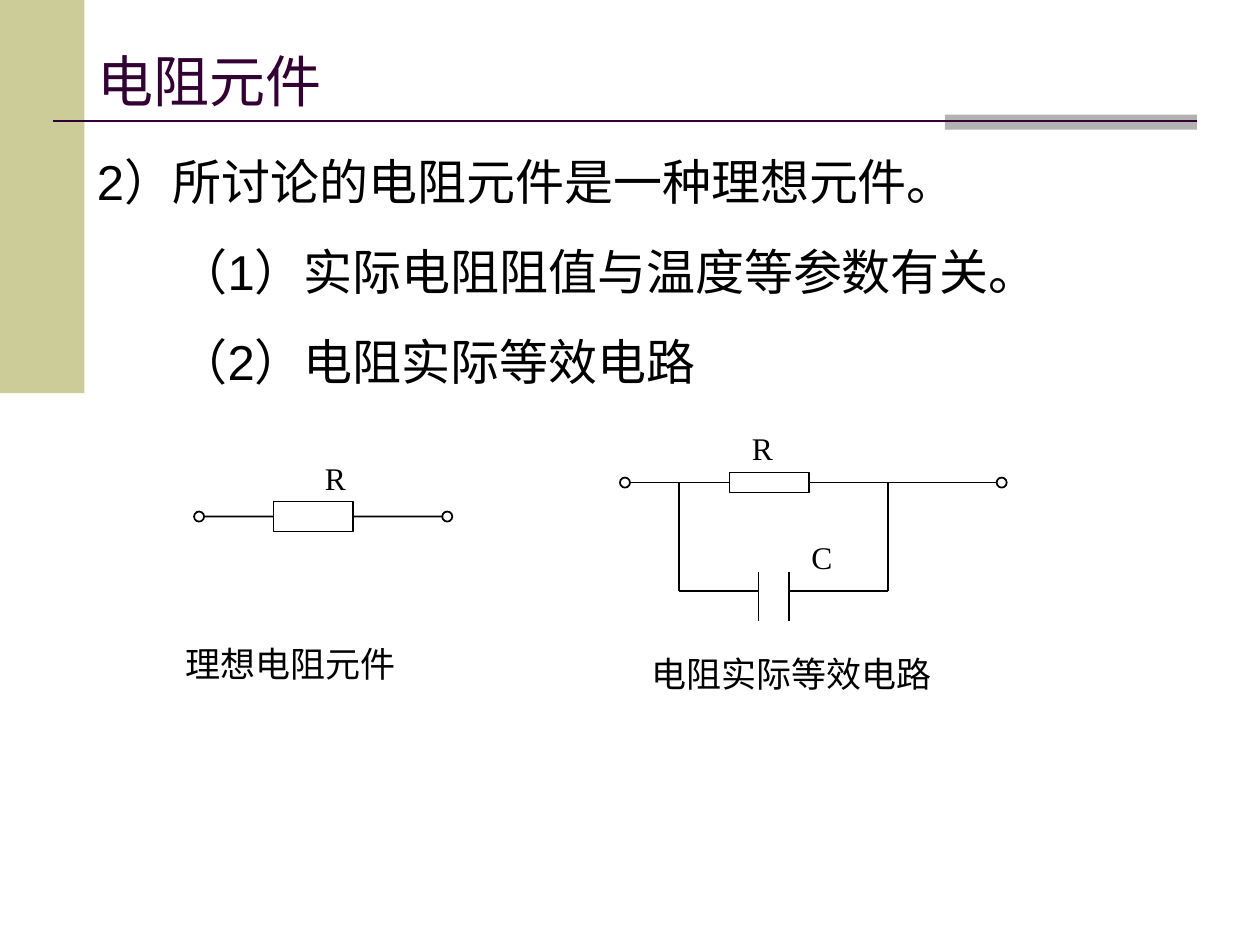
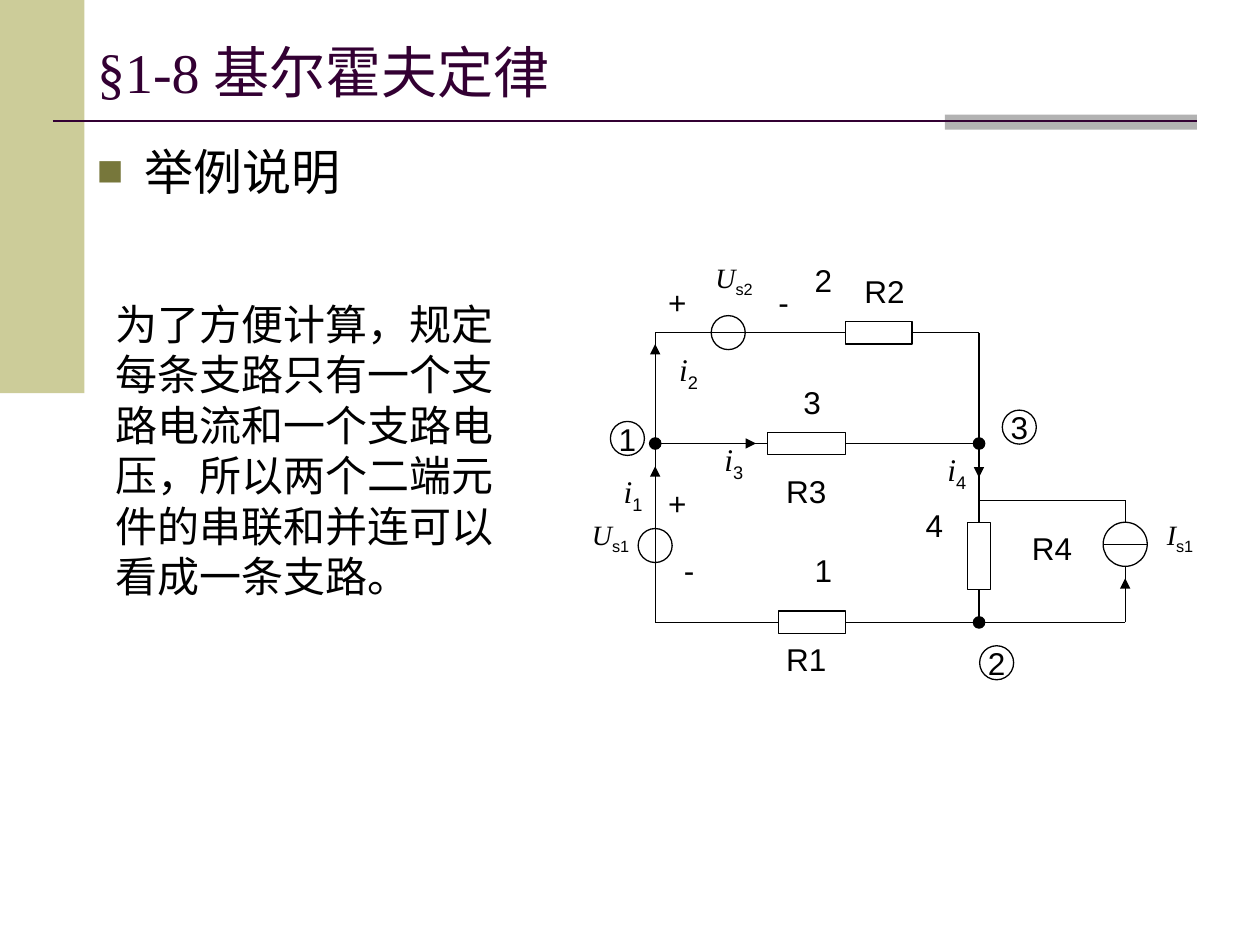
from dataclasses import dataclass
from itertools import pairwise

from lxml import etree
from pptx import Presentation, dml, util as u
from pptx.dml import color
from pptx.enum import shapes, text
from pptx.oxml import ns


@dataclass(frozen=True)
class Theme:
    ink: str = "000000"
    title: str = "330033"
    band: str = "CCCC99"
    accent: str = "B2B2B2"
    bullet: str = "77773B"
    sans: str = "Arial"
    serif: str = "Times New Roman"
    caption: str = "Karla"
    title_size: int = 32
    body_size: int = 28
    note_size: int = 24
    caption_size: int = 20
    label_size: int = 18
    source_size: int = 16


THEME = Theme()
OVAL = shapes.MSO_SHAPE.OVAL
RECT = shapes.MSO_SHAPE.RECTANGLE
Point = tuple[float, float]


@dataclass(frozen=True)
class Box:
    left: float
    top: float
    width: float
    height: float

    def lengths(self) -> list[u.Length]:
        return [u.Inches(v) for v in (self.left, self.top, self.width, self.height)]


@dataclass(frozen=True)
class Circle:
    x: float
    y: float
    diameter: float
    fill: str | None = None
    number: str = ""

    def box(self) -> Box:
        radius = self.diameter / 2
        return Box(self.x - radius, self.y - radius, self.diameter, self.diameter)


@dataclass(frozen=True)
class Label:
    box: Box
    words: str
    subscript: str = ""
    font: str = THEME.sans
    size: int = THEME.label_size
    align: text.PP_ALIGN = text.PP_ALIGN.CENTER


@dataclass(frozen=True)
class Item:
    words: str
    margin: float = 0.38
    indent: float = -0.38
    bullet: bool = False


@dataclass(frozen=True)
class Circuit:
    weight: float
    resistors: list[Box]
    circles: list[Circle]
    routes: list[list[Point]]
    arrows: list[list[Point]]
    labels: list[Label]


# Text helpers
def add_run(paragraph, words: str, font: str, size: int, rgb: str = THEME.ink):
    run = paragraph.add_run()
    run.text = words
    run.font.name = font
    run.font.size = u.Pt(size)
    run.font.color.rgb = color.RGBColor.from_string(rgb)
    return run


def add_label(slide, label: Label) -> None:
    frame = slide.shapes.add_textbox(*label.box.lengths()).text_frame
    frame.word_wrap = True
    paragraph = frame.paragraphs[0]
    paragraph.alignment = label.align
    symbol = add_run(paragraph, label.words, label.font, label.size)
    if label.subscript:
        symbol.font.italic = True
        index = add_run(paragraph, label.subscript, THEME.sans, label.size)
        index.font.italic = False
        index._r.get_or_add_rPr().set("baseline", "-25000")


def add_bullet(properties) -> None:
    tint = etree.SubElement(properties, ns.qn("a:buClr"))
    etree.SubElement(tint, ns.qn("a:srgbClr"), val=THEME.bullet)
    etree.SubElement(properties, ns.qn("a:buSzPct"), val="90000")
    etree.SubElement(properties, ns.qn("a:buFont"), typeface=THEME.sans)
    etree.SubElement(properties, ns.qn("a:buChar"), char="■")


def add_body(slide, box: Box, items: list[Item]) -> None:
    frame = slide.shapes.add_textbox(*box.lengths()).text_frame
    frame.word_wrap = True
    for position, item in enumerate(items):
        paragraph = frame.add_paragraph() if position else frame.paragraphs[0]
        properties = paragraph._p.get_or_add_pPr()
        properties.set("marL", str(u.Inches(item.margin)))
        properties.set("indent", str(u.Inches(item.indent)))
        if item.bullet:
            add_bullet(properties)
        if position:
            paragraph.space_before = u.Pt(18)
        add_run(paragraph, item.words, THEME.sans, THEME.body_size)


# Drawing helpers
def add_outline(slide, kind, box: Box, weight: float = 0, fill: str | None = None):
    shape = slide.shapes.add_shape(kind, *box.lengths())
    shape.shadow.inherit = False
    if fill:
        shape.fill.solid()
        shape.fill.fore_color.rgb = color.RGBColor.from_string(fill)
    else:
        shape.fill.background()
    if weight:
        shape.line.width = u.Pt(weight)
        shape.line.color.rgb = color.RGBColor.from_string(THEME.ink)
    else:
        shape.line.fill.background()
    return shape


def add_wire(slide, start: Point, end: Point, weight: float,
             rgb: str = THEME.ink, arrow: bool = False):
    wire = slide.shapes.add_connector(
        shapes.MSO_CONNECTOR.STRAIGHT, *(u.Inches(v) for v in (*start, *end)))
    wire.line.width = u.Pt(weight)
    wire.line.color.rgb = color.RGBColor.from_string(rgb)
    properties = wire._element.spPr
    if arrow:
        etree.SubElement(properties.find(ns.qn("a:ln")), ns.qn("a:tailEnd"), type="triangle")
    etree.SubElement(properties, ns.qn("a:effectLst"))
    return wire


def join_wire(wire, resistors: list) -> None:
    """Join each wire end that meets the middle of a resistor's side."""
    ends = [(wire.begin_x, wire.begin_y, wire.begin_connect),
            (wire.end_x, wire.end_y, wire.end_connect)]
    near = u.Inches(0.01)
    for resistor in resistors:
        left, top = resistor.left, resistor.top
        right, bottom = left + resistor.width, top + resistor.height
        middle_x, middle_y = (left + right) // 2, (top + bottom) // 2
        sides = [(middle_x, top), (left, middle_y), (middle_x, bottom), (right, middle_y)]
        for site, (x, y) in enumerate(sides):
            for end_x, end_y, connect in ends:
                if abs(end_x - x) < near and abs(end_y - y) < near:
                    connect(resistor, site)


def add_circle(slide, circle: Circle, weight: float) -> None:
    shape = add_outline(slide, OVAL, circle.box(), weight, circle.fill)
    if circle.number:
        frame = shape.text_frame
        frame.word_wrap = False
        frame.vertical_anchor = text.MSO_ANCHOR.MIDDLE
        frame.paragraphs[0].alignment = text.PP_ALIGN.CENTER
        add_run(frame.paragraphs[0], circle.number, THEME.sans, THEME.label_size)


def add_circuit(slide, circuit: Circuit) -> None:
    resistors = [add_outline(slide, RECT, box, circuit.weight) for box in circuit.resistors]
    for route in circuit.routes:
        for start, end in pairwise(route):
            join_wire(add_wire(slide, start, end, circuit.weight), resistors)
    for start, end in circuit.arrows:
        add_wire(slide, start, end, circuit.weight, arrow=True)
    for circle in circuit.circles:
        add_circle(slide, circle, circuit.weight)
    for label in circuit.labels:
        add_label(slide, label)


# Shared band, title rule and title
def start_slide(deck, heading: str, box: Box):
    slide = deck.slides.add_slide(deck.slide_layouts[5])
    add_outline(slide, RECT, Box(0, 0, 0.67, 3.12), fill=THEME.band)
    add_outline(slide, RECT, Box(7.5, 0.91, 2, 0.12), fill=THEME.accent)
    add_wire(slide, (0.42, 0.96), (9.5, 0.96), 1.5, THEME.title)
    title = slide.shapes.title
    title.left, title.top, title.width, title.height = box.lengths()
    frame = title.text_frame
    frame.auto_size = text.MSO_AUTO_SIZE.NONE
    frame.vertical_anchor = text.MSO_ANCHOR.MIDDLE
    frame.paragraphs[0].alignment = text.PP_ALIGN.LEFT
    add_run(frame.paragraphs[0], heading, THEME.serif, THEME.title_size, THEME.title)
    return slide


def part_label(left: float, top: float, width: float, words: str) -> Label:
    return Label(Box(left, top, width, 0.4), words, font=THEME.serif, align=text.PP_ALIGN.LEFT)


def caption(left: float, top: float, width: float, words: str) -> Label:
    return Label(Box(left, top, width, 0.44), words, font=THEME.caption,
                 size=THEME.caption_size, align=text.PP_ALIGN.LEFT)


def mark(left: float, top: float, width: float, words: str) -> Label:
    return Label(Box(left, top, width, 0.45), words)


def current(left: float, top: float, index: str) -> Label:
    return Label(Box(left, top, 0.53, 0.45), "i", index, THEME.serif)


def source(left: float, top: float, symbol: str, index: str) -> Label:
    return Label(Box(left, top, 0.71, 0.41), symbol, index, THEME.serif, THEME.source_size)


# Ideal resistor, and resistor with parallel capacitance
RESISTOR_MODELS = Circuit(
    weight=1,
    resistors=[Box(2.17, 3.98, 0.63, 0.24), Box(5.79, 3.75, 0.63, 0.16)],
    circles=[Circle(x, y, 0.08)
             for x, y in [(1.58, 4.1), (3.55, 4.1), (4.96, 3.83), (7.95, 3.83)]],
    routes=[
        [(1.62, 4.1), (2.17, 4.1)], [(2.8, 4.1), (3.51, 4.1)],
        [(5, 3.83), (5.79, 3.83)], [(6.42, 3.83), (7.05, 3.83), (7.91, 3.83)],
        [(5.39, 3.83), (5.39, 4.69), (6.02, 4.69)],
        [(7.05, 3.83), (7.05, 4.69), (6.26, 4.69)],
        *[[(x, 4.54), (x, 4.93)] for x in (6.02, 6.26)],
    ],
    arrows=[],
    labels=[
        part_label(2.48, 3.59, 0.55, "R"), part_label(5.87, 3.36, 0.47, "R"),
        part_label(6.34, 4.22, 0.71, "C"),
        caption(1.37, 5.05, 2.05, "理想电阻元件"), caption(5.07, 5.13, 2.91, "电阻实际等效电路"),
    ],
)

# Four-branch network with three nodes
NETWORK = Circuit(
    weight=0.75,
    resistors=[Box(6.18, 4.85, 0.53, 0.18), Box(6.71, 2.55, 0.53, 0.18),
               Box(6.09, 3.43, 0.62, 0.18), Box(7.68, 4.15, 0.18, 0.53)],
    circles=[
        *[Circle(x, y, 0.09, THEME.ink) for x, y in [(5.2, 3.52), (7.77, 3.52), (7.77, 4.94)]],
        Circle(5.2, 4.33, 0.27), Circle(5.78, 2.64, 0.27), Circle(8.93, 4.32, 0.35),
        *[Circle(x, y, 0.27, number=n)
          for x, y, n in [(4.98, 3.48, "1"), (7.91, 5.26, "2"), (8.09, 3.39, "3")]],
    ],
    routes=[
        [(5.2, 3.52), (5.2, 4.94), (6.18, 4.94)],
        [(6.71, 4.94), (8.93, 4.94), (8.93, 4.5)],
        [(5.2, 3.52), (5.2, 2.64), (6.71, 2.64)],
        [(5.2, 3.52), (6.09, 3.52)], [(6.71, 3.52), (7.77, 3.52)],
        [(7.24, 2.64), (7.77, 2.64), (7.77, 3.97), (8.93, 3.97), (8.93, 4.15)],
        [(7.77, 3.97), (7.77, 4.15)], [(7.77, 4.68), (7.77, 4.94)],
        [(8.75, 4.32), (9.1, 4.32)],
    ],
    arrows=[
        [(8.93, 4.77), (8.93, 4.59)], [(5.2, 3.97), (5.2, 3.7)], [(5.47, 3.52), (6, 3.52)],
        [(5.2, 3.17), (5.2, 2.73)], [(7.77, 3.61), (7.77, 3.79)],
    ],
    labels=[
        mark(6.27, 4.32, 0.53, "1"), mark(6.27, 2.02, 0.53, "2"),
        mark(6.18, 2.99, 0.53, "3"), mark(7.15, 3.97, 0.53, "4"),
        mark(6, 5.03, 0.8, "R1"), mark(6.62, 2.11, 0.8, "R2"),
        mark(6, 3.7, 0.8, "R3"), mark(7.95, 4.15, 0.8, "R4"),
        mark(5.2, 3.79, 0.35, "+"), mark(5.29, 4.32, 0.36, "-"),
        mark(5.2, 2.2, 0.35, "+"), mark(5.82, 2.2, 0.8, "-"),
        current(4.76, 3.7, "1"), current(5.2, 2.73, "2"),
        current(5.56, 3.44, "3"), current(7.33, 3.52, "4"),
        source(4.49, 4.06, "U", "s1"), source(5.47, 2.02, "U", "s2"),
        source(9.01, 4.06, "I", "s1"),
    ],
)


def main() -> None:
    deck = Presentation()
    deck.slide_width, deck.slide_height = u.Inches(10), u.Inches(7.5)

    resistor_slide = start_slide(deck, "电阻元件", Box(0.67, 0.36, 7.14, 0.55))
    add_body(resistor_slide, Box(0.67, 1.15, 9.33, 5.91), [
        Item("2）所讨论的电阻元件是一种理想元件。"),
        Item("（1）实际电阻阻值与温度等参数有关。", 0.65, 0),
        Item("（2）电阻实际等效电路", 0.65, 0),
    ])
    add_circuit(resistor_slide, RESISTOR_MODELS)

    kirchhoff_slide = start_slide(deck, "§1-8 基尔霍夫定律", Box(0.67, 0.3, 8.83, 0.53))
    add_body(kirchhoff_slide, Box(0.67, 1.07, 8.83, 5.91), [Item("举例说明", bullet=True)])
    add_label(kirchhoff_slide, Label(
        Box(0.82, 2.32, 3.39, 2.5),
        "为了方便计算，规定每条支路只有一个支路电流和一个支路电压，"
        "所以两个二端元件的串联和并连可以看成一条支路。",
        size=THEME.note_size, align=text.PP_ALIGN.LEFT))
    add_circuit(kirchhoff_slide, NETWORK)

    deck.save("out.pptx")


if __name__ == "__main__":
    main()
